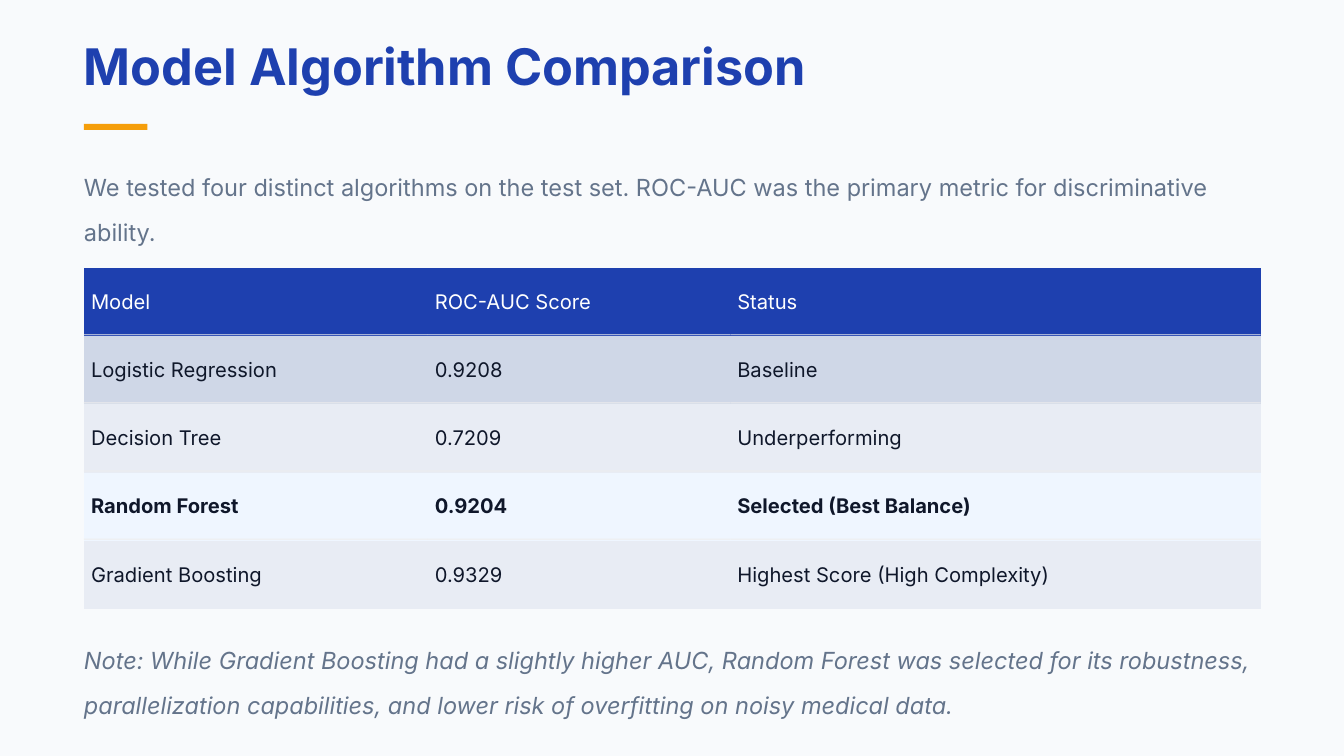
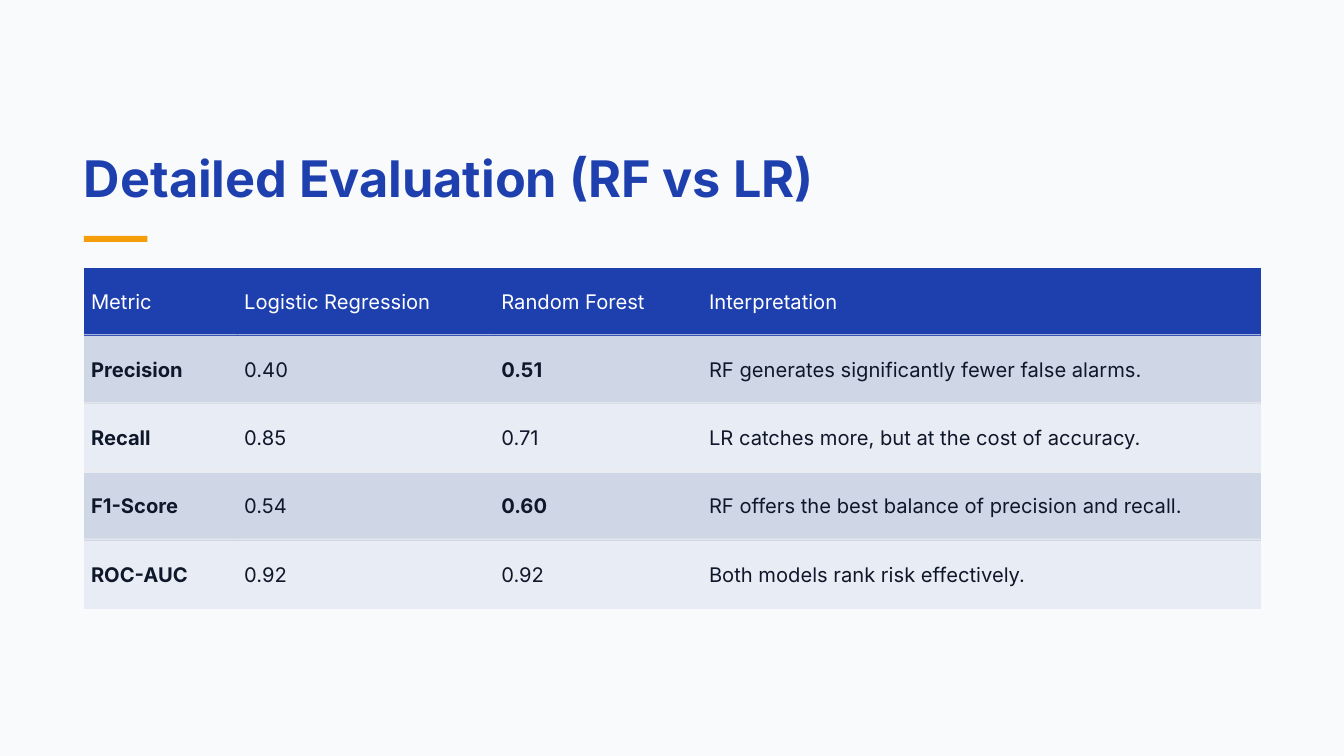
from dataclasses import dataclass

from pptx import Presentation
from pptx.dml.color import RGBColor
from pptx.enum.shapes import MSO_SHAPE
from pptx.enum.text import MSO_ANCHOR, MSO_AUTO_SIZE, PP_ALIGN
from pptx.oxml.ns import qn
from pptx.util import Inches, Pt


@dataclass(frozen=True)
class Theme:
    font: str = "Inter"
    background: str = "F8FAFC"
    primary: str = "1E40AF"
    accent: str = "F59E0B"
    muted: str = "64748B"
    ink: str = "0F172A"
    white: str = "FFFFFF"
    bands: tuple = ("CFD7E7", "E8ECF4")
    highlight: str = "EFF6FF"
    rule: str = "EEEEEE"
    title_size: float = 36
    body_size: float = 16.8
    table_size: float = 14.4


theme = Theme()
SLIDE_WIDTH, SLIDE_HEIGHT = 13.33, 7.5
LEFT = SLIDE_WIDTH / 16
WIDTH = SLIDE_WIDTH - 2 * LEFT
TABLE_TOP, TABLE_HEIGHT = 2.66, 3.38
RULE_HEIGHT = 0.01
NO_GRID_STYLE = "{2D5ABB26-0587-4C30-8999-92F81FD0307C}"

# Content: bold and highlighted entries are (row, column) cells and row numbers
slides = [
    {
        "title": "Model Algorithm Comparison",
        "title_top": 0.35,
        "paragraphs": [
            (1.55, False, "We tested four distinct algorithms on the test set. ROC-AUC was "
                          "the primary metric for discriminative ability."),
            (6.24, True, "Note: While Gradient Boosting had a slightly higher AUC, Random Forest "
                         "was selected for its robustness, parallelization capabilities, and "
                         "lower risk of overfitting on noisy medical data."),
        ],
        "columns": [3.41, 3, 5.26],
        "rows": [
            ["Model", "ROC-AUC Score", "Status"],
            ["Logistic Regression", "0.9208", "Baseline"],
            ["Decision Tree", "0.7209", "Underperforming"],
            ["Random Forest", "0.9204", "Selected (Best Balance)"],
            ["Gradient Boosting", "0.9329", "Highest Score (High Complexity)"],
        ],
        "bold": {(3, 0), (3, 1), (3, 2)},
        "highlighted": {3},
    },
    {
        "title": "Detailed Evaluation (RF vs LR)",
        "title_top": 1.46,
        "paragraphs": [],
        "columns": [1.52, 2.55, 2.06, 5.54],
        "rows": [
            ["Metric", "Logistic Regression", "Random Forest", "Interpretation"],
            ["Precision", "0.40", "0.51", "RF generates significantly fewer false alarms."],
            ["Recall", "0.85", "0.71", "LR catches more, but at the cost of accuracy."],
            ["F1-Score", "0.54", "0.60", "RF offers the best balance of precision and recall."],
            ["ROC-AUC", "0.92", "0.92", "Both models rank risk effectively."],
        ],
        "bold": {(1, 0), (2, 0), (3, 0), (4, 0), (1, 2), (3, 2)},
        "highlighted": set(),
    },
]


def write(frame, text, size, color, bold=False, italic=False, **settings):
    """Put one formatted, left-aligned paragraph in a text frame."""
    for attribute, value in settings.items():
        setattr(frame, attribute, value)
    frame.text = text
    paragraph = frame.paragraphs[0]
    paragraph.alignment = PP_ALIGN.LEFT
    font = paragraph.runs[0].font
    style = {"name": theme.font, "size": Pt(size), "bold": bold, "italic": italic}
    for attribute, value in style.items():
        setattr(font, attribute, value)
    font.color.rgb = RGBColor.from_string(color)
    return paragraph


def add_bar(slide, left, top, width, height, color):
    """Draw a plain filled bar, measured in inches."""
    bar = slide.shapes.add_shape(
        MSO_SHAPE.RECTANGLE, Inches(left), Inches(top), Inches(width), Inches(height))
    bar.shadow.inherit = False
    bar.fill.solid()
    bar.fill.fore_color.rgb = RGBColor.from_string(color)
    bar.line.fill.background()


# Top-anchored, wrapping text without insets
plain_frame = {"margin_left": 0, "margin_right": 0, "margin_top": 0, "margin_bottom": 0,
               "word_wrap": True, "auto_size": MSO_AUTO_SIZE.NONE,
               "vertical_anchor": MSO_ANCHOR.TOP}

prs = Presentation()
prs.slide_width, prs.slide_height = Inches(SLIDE_WIDTH), Inches(SLIDE_HEIGHT)
backdrop = prs.slide_master.background.fill
backdrop.solid()
backdrop.fore_color.rgb = RGBColor.from_string(theme.background)
title_only = prs.slide_layouts[5]

for content in slides:
    slide = prs.slides.add_slide(title_only)

    # Title with its accent bar
    title = slide.shapes.title
    title.left, title.top = Inches(LEFT), Inches(content["title_top"])
    title.width, title.height = Inches(12.25), Inches(0.78)
    write(title.text_frame, content["title"], theme.title_size, theme.primary,
          bold=True, **plain_frame)
    add_bar(slide, LEFT, content["title_top"] + 0.88, 0.63, 0.06, theme.accent)

    # Introduction and note
    for top, italic, text in content["paragraphs"]:
        box = slide.shapes.add_textbox(Inches(LEFT), Inches(top), Inches(WIDTH), Inches(0.75))
        paragraph = write(box.text_frame, text, theme.body_size, theme.muted,
                          italic=italic, **plain_frame)
        paragraph.line_spacing = 1.6

    # Results table
    rows, columns = content["rows"], content["columns"]
    row_height = TABLE_HEIGHT / len(rows)
    results = slide.shapes.add_table(
        len(rows), len(columns), Inches(LEFT), Inches(TABLE_TOP),
        Inches(WIDTH), Inches(TABLE_HEIGHT)).table
    results._tbl.tblPr.find(qn("a:tableStyleId")).text = NO_GRID_STYLE
    for column, width in zip(results.columns, columns):
        column.width = Inches(width)

    for r, row in enumerate(rows):
        if r == 0:
            fill, color = theme.primary, theme.white
        else:
            fill, color = theme.bands[(r - 1) % 2], theme.ink
        if r in content["highlighted"]:
            fill = theme.highlight

        for c, text in enumerate(row):
            cell = results.cell(r, c)
            cell.vertical_anchor = MSO_ANCHOR.MIDDLE
            cell.margin_left = cell.margin_right = Inches(0.07)
            cell.margin_top = cell.margin_bottom = Inches(0.03)
            write(cell.text_frame, text, theme.table_size, color, bold=(r, c) in content["bold"])
            cell.fill.solid()
            cell.fill.fore_color.rgb = RGBColor.from_string(fill)

    # Thin rules just above the lower edge of each cell, except in the last row
    for r in range(1, len(rows)):
        rule_top = TABLE_TOP + r * row_height - 2 * RULE_HEIGHT
        for c, width in enumerate(columns):
            add_bar(slide, LEFT + sum(columns[:c]), rule_top, width, RULE_HEIGHT, theme.rule)

prs.save("out.pptx")
